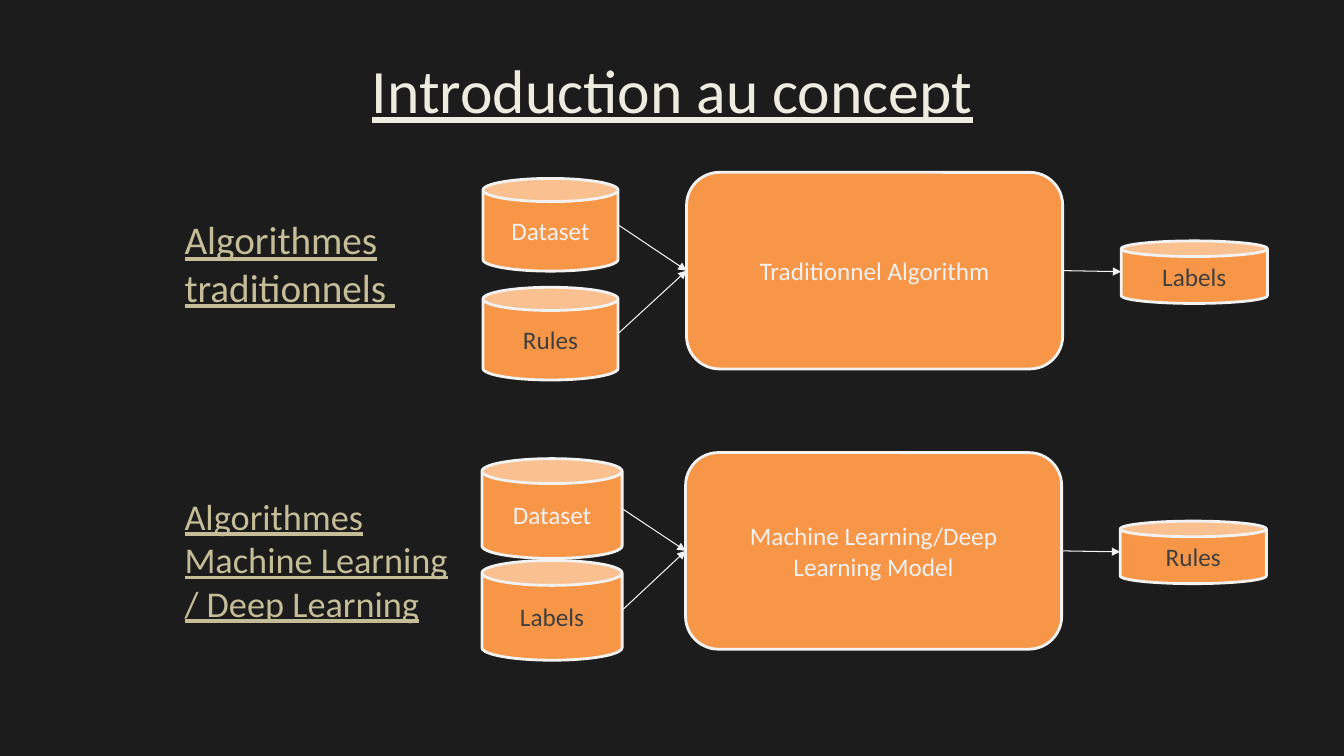
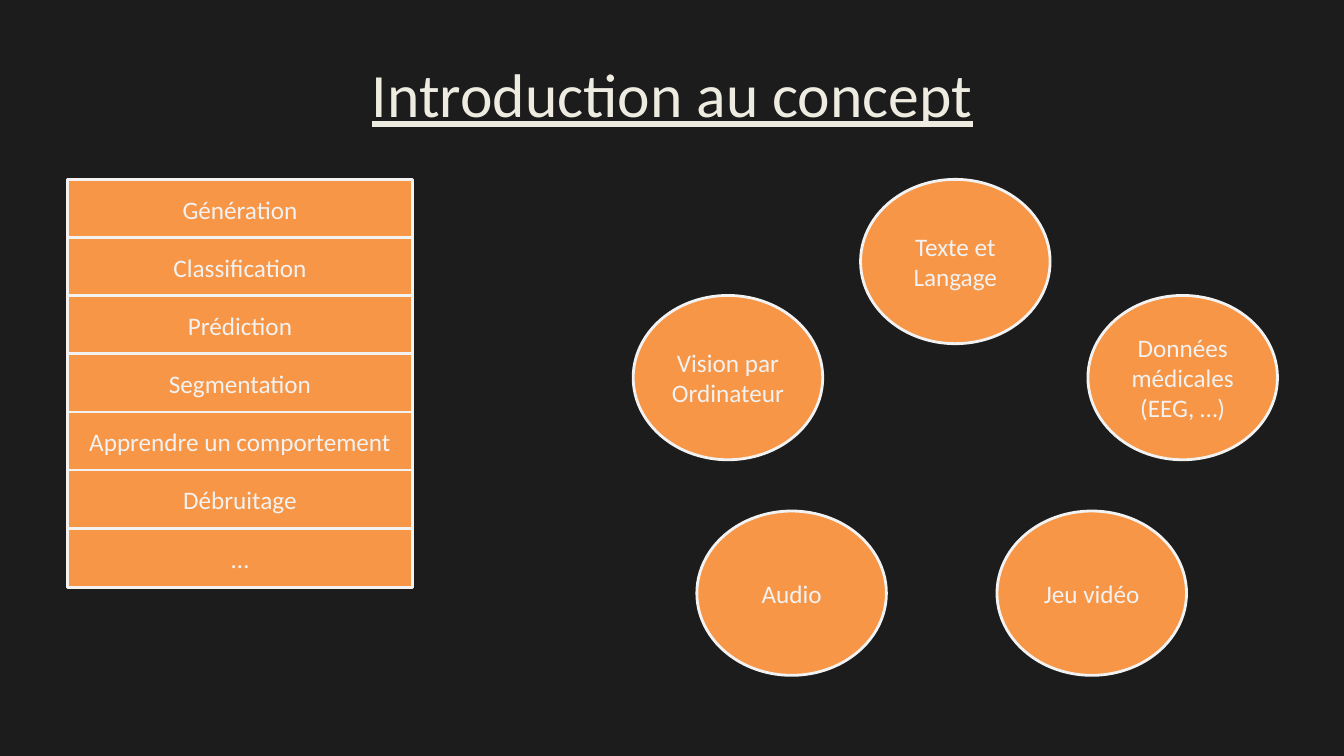
import pptx
import pptx.util
import pptx.dml.color
import pptx.enum.shapes
import pptx.enum.text
import pptx.oxml.ns
import lxml.etree

Inches = pptx.util.Inches
Pt = pptx.util.Pt
SHAPE = pptx.enum.shapes.MSO_SHAPE
ALIGN = pptx.enum.text.PP_ALIGN
ANCHOR = pptx.enum.text.MSO_ANCHOR
qn = pptx.oxml.ns.qn

COLORS = {
    "background": "1C1C1C",
    "title": "EEECE1",
    "caption": "C4BD97",
    "fill": "F79646",
    "light": "F2F2F2",
    "dark": "3F3F3F",
}
FONT = "Calibri"
TITLE = "Introduction au concept"
TITLE_STYLE = {"name": FONT, "size": Pt(44), "underline": True, "bold": False}
CAPTION_STYLE = {"name": FONT, "underline": True}
SHAPE_STYLE = {"name": FONT, "size": Pt(18)}


def rgb(name):
    return pptx.dml.color.RGBColor.from_string(COLORS[name])


def write(shape, text, style, color, align=ALIGN.CENTER, anchor=ANCHOR.MIDDLE):
    tf = shape.text_frame
    tf.word_wrap = True
    tf.auto_size = pptx.enum.text.MSO_AUTO_SIZE.NONE
    tf.vertical_anchor = anchor
    p = tf.paragraphs[0]
    p.alignment = align
    r = p.add_run()
    r.text = text
    for key, value in style.items():
        setattr(r.font, key, value)
    r.font.color.rgb = rgb(color)
    return p


def place(shape, *box):
    for key, value in zip(("left", "top", "width", "height"), box):
        setattr(shape, key, Inches(value))


def add_title(s, top):
    place(s.shapes.title, 0.67, top, 12, 1.25)
    write(s.shapes.title, TITLE, TITLE_STYLE, "title")


def add_caption(placeholder, text, size, box):
    place(placeholder, *box)
    p = write(placeholder, text, {**CAPTION_STYLE, "size": Pt(size)}, "caption",
              ALIGN.LEFT, ANCHOR.TOP)
    p.space_before = Pt(0)
    pPr = p._p.get_or_add_pPr()
    pPr.set("marL", "0")
    pPr.set("indent", "0")
    lxml.etree.SubElement(pPr, qn("a:buNone"))


def add_node(s, kind, text, box, color="light"):
    sp = s.shapes.add_shape(kind, *map(Inches, box))
    sp.shadow.inherit = False
    sp.fill.solid()
    sp.fill.fore_color.rgb = rgb("fill")
    sp.line.color.rgb = rgb("light")
    sp.line.width = Pt(2)
    write(sp, text, SHAPE_STYLE, color)
    return sp


def add_arrow(s, start, end):
    cxn = s.shapes.add_connector(
        pptx.enum.shapes.MSO_CONNECTOR.STRAIGHT, *map(Inches, start + end))
    cxn.line.color.rgb = rgb("light")
    cxn.line.width = Pt(0.75)
    lxml.etree.SubElement(cxn.line._get_or_add_ln(), qn("a:tailEnd"), type="triangle")
    lxml.etree.SubElement(cxn._element.spPr, qn("a:effectLst"))
    return cxn


def add_flow(s, left, top, can_size, can_pitch, inputs, model, output):
    """Two inputs, a model block and its output, from left to right."""
    width, height = 3.73, 1.95
    can_w, can_h = can_size
    block_left, middle = left + 2.02, top + height / 2
    block = add_node(s, SHAPE.ROUNDED_RECTANGLE, model, (block_left, top, width, height))
    for i, (text, color) in enumerate(zip(inputs, ("light", "dark"))):
        can_top = top + 0.06 + i * can_pitch
        add_node(s, SHAPE.CAN, text, (left, can_top, can_w, can_h), color)
        arrow = add_arrow(s, (left + can_w, can_top + can_h / 2), (block_left, middle))
        arrow.end_connect(block, 1)
    out_left = block_left + width + 0.58
    add_node(s, SHAPE.CAN, output, (out_left, top + 0.68, 1.45, 0.62), "dark")
    arrow = add_arrow(s, (block_left + width, middle), (out_left, middle + 0.01))
    arrow.begin_connect(block, 3)


def add_stack(s, items, left, top, width, height):
    """Equal rows spread over the box, overlapping slightly at their borders."""
    row_h = 0.59
    pitch = (height - row_h) / (len(items) - 1)
    for i, text in enumerate(items):
        add_node(s, SHAPE.RECTANGLE, text, (left, top + i * pitch, width, row_h))


def add_ring(s, items, left, top, width, height):
    """Ovals whose positions are shares of the free room in the box."""
    oval_w, oval_h = 1.88, 1.63
    for text, x, y in items:
        add_node(s, SHAPE.OVAL, text, (left + x * (width - oval_w),
                                       top + y * (height - oval_h), oval_w, oval_h))


def comparison_slide(prs):
    s = prs.slides.add_slide(prs.slide_layouts[3])
    add_title(s, 0.26)
    add_caption(s.placeholders[1], "Algorithmes traditionnels ", 28, (1.73, 2.09, 2.85, 1.36))
    add_caption(s.placeholders[2], "Algorithmes Machine Learning / Deep Learning", 25.9,
                (1.73, 4.85, 2.85, 1.36))
    add_flow(s, 4.79, 1.71, (1.34, 0.92), 1.08,
             ("Dataset", "Rules"), "Traditionnel Algorithm", "Labels")
    add_flow(s, 4.78, 4.49, (1.39, 0.99), 1.01,
             ("Dataset", "Labels"), "Machine Learning/Deep Learning Model", "Rules")


def applications_slide(prs):
    s = prs.slides.add_slide(prs.slide_layouts[5])
    add_title(s, 0.3)
    add_ring(s, (
        ("Vision par Ordinateur", 0, 0.35),
        ("Texte et Langage", 0.5, 0),
        ("Jeu vidéo", 0.8, 1),
        ("Audio", 0.14, 1),
        ("Données médicales (EEG, …)", 1, 0.35),
    ), 6.28, 1.78, 6.39, 4.92)
    add_stack(s, ("Génération", "Classification", "Prédiction", "Segmentation",
                  "Apprendre un comportement", "Débruitage", "…"),
              0.67, 1.78, 3.42, 4.05)


def main():
    prs = pptx.Presentation()
    prs.slide_width, prs.slide_height = Inches(13.33), Inches(7.5)
    fill = prs.slide_master.background.fill
    fill.solid()
    fill.fore_color.rgb = rgb("background")
    comparison_slide(prs)
    applications_slide(prs)
    prs.save("out.pptx")


if __name__ == "__main__":
    main()
